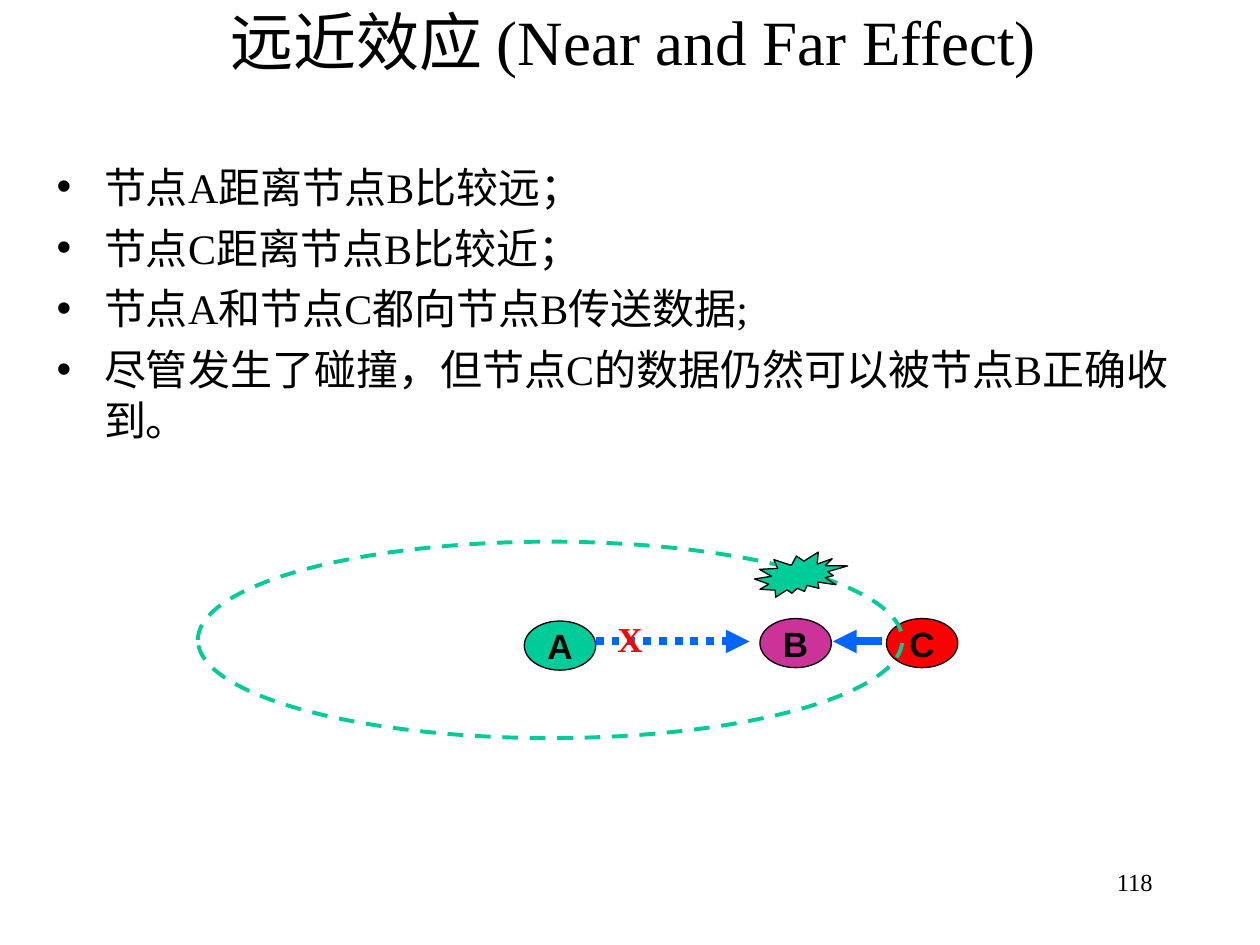
import pptx
import pptx.util
import pptx.dml.color
import pptx.enum.dml
import pptx.enum.shapes
import pptx.enum.text
import pptx.oxml
import pptx.oxml.ns

Cm = pptx.util.Cm
Pt = pptx.util.Pt
Align = pptx.enum.text.PP_ALIGN
Anchor = pptx.enum.text.MSO_ANCHOR
Fit = pptx.enum.text.MSO_AUTO_SIZE
Preset = pptx.enum.shapes.MSO_SHAPE
Dash = pptx.enum.dml.MSO_LINE

COLORS = {
    "black": "000000",
    "red": "FF0000",
    "green": "00CC99",
    "purple": "CC3399",
    "blue": "0066FF",
}


def set_all(target, values):
    for name, value in values.items():
        setattr(target, name, value)


class SlideBuilder:
    serif = "Times New Roman"
    sans = "Arial"

    def __init__(self, deck):
        self.page = deck.slides.add_slide(deck.slide_layouts[1])

    def color(self, name):
        return pptx.dml.color.RGBColor.from_string(COLORS[name])

    def place(self, shape, area):
        names = ("left", "top", "width", "height")
        set_all(shape, dict(zip(names, (Cm(length) for length in area))))

    def fill_text(self, shape, lines, size, font=None, color="black", bold=False,
                  align=Align.LEFT, anchor=Anchor.TOP, wrap=True, fit=Fit.NONE, gap=0):
        frame = shape.text_frame
        set_all(frame, {"auto_size": fit, "word_wrap": wrap, "vertical_anchor": anchor})
        frame.text = "\n".join(lines)
        for index, para in enumerate(frame.paragraphs):
            set_all(para, {"alignment": align, "space_before": Pt(gap if index else 0)})
            for span in para.runs:
                set_all(span.font, {"name": font or self.serif, "size": Pt(size), "bold": bold})
                span.font.color.rgb = self.color(color)

    def title(self, area, text):
        shape = self.page.shapes.title
        self.place(shape, area)
        self.fill_text(shape, [text], 36, align=Align.CENTER, anchor=Anchor.MIDDLE)

    def bullets(self, area, lines):
        shape = self.page.placeholders[1]
        self.place(shape, area)
        self.fill_text(shape, lines, 24, gap=6)

    def label(self, area, text, size, **style):
        box = self.page.shapes.add_textbox(*(Cm(length) for length in area))
        self.fill_text(box, [text], size, **style)

    def shape(self, preset, area, fill=None, line="black", width=0.75, dash=None):
        shape = self.page.shapes.add_shape(preset, *(Cm(length) for length in area))
        shape.shadow.inherit = False
        if fill:
            shape.fill.solid()
            shape.fill.fore_color.rgb = self.color(fill)
        else:
            shape.fill.background()
        self.outline(shape.line, line, width, dash)
        return shape

    def outline(self, line, color, width, dash):
        line.color.rgb = self.color(color)
        set_all(line, {"width": Pt(width), "dash_style": dash})

    def node(self, name, left, top, fill):
        shape = self.shape(Preset.OVAL, (left, top, 1.44, 0.99), fill)
        self.fill_text(shape, [name], 20, font=self.sans, bold=True,
                       align=Align.CENTER, anchor=Anchor.MIDDLE, wrap=False)

    def arrow(self, start, end, level, dash=None):
        connector = self.page.shapes.add_connector(
            pptx.enum.shapes.MSO_CONNECTOR.STRAIGHT,
            Cm(start), Cm(level), Cm(end), Cm(level))
        self.outline(connector.line, "blue", 4.5, dash)
        properties = connector._element.spPr
        head = pptx.oxml.parse_xml(
            '<a:tailEnd %s type="triangle"/>' % pptx.oxml.ns.nsdecls("a"))
        properties.find(pptx.oxml.ns.qn("a:ln")).append(head)
        properties.append(pptx.oxml.parse_xml(
            "<a:effectLst %s/>" % pptx.oxml.ns.nsdecls("a")))


def main():
    deck = pptx.Presentation()
    set_all(deck, {"slide_width": Cm(25.4), "slide_height": Cm(19.05)})
    builder = SlideBuilder(deck)

    builder.title((1.02, -0.08, 23.5, 1.8), "远近效应 (Near and Far Effect)")
    builder.bullets((0.89, 3.12, 23.19, 6.6), [
        "节点A距离节点B比较远；",
        "节点C距离节点B比较近；",
        "节点A和节点C都向节点B传送数据;",
        "尽管发生了碰撞，但节点C的数据仍然可以被节点B正确收到。",
    ])

    for name, left, top, fill in (
        ("B", 15.32, 12.47, "purple"),
        ("C", 17.87, 12.47, "red"),
        ("A", 10.57, 12.52, "green"),
    ):
        builder.node(name, left, top, fill)
    builder.shape(Preset.OVAL, (3.99, 10.92, 14.2, 3.96),
                  line="green", width=2.25, dash=Dash.DASH)
    builder.arrow(12.01, 15.11, 12.93, Dash.ROUND_DOT)
    builder.arrow(17.78, 16.79, 12.93)
    builder.label((12.19, 12.32, 1.02, 1.12), "X", 20, color="red", bold=True,
                  align=Align.CENTER, wrap=False, fit=Fit.SHAPE_TO_FIT_TEXT)
    builder.shape(Preset.EXPLOSION2, (15.21, 11.13, 1.88, 0.91), "green")
    builder.label((18.21, 17.35, 5.28, 1.27), "118", 14, align=Align.RIGHT)

    deck.save("out.pptx")


if __name__ == "__main__":
    main()
